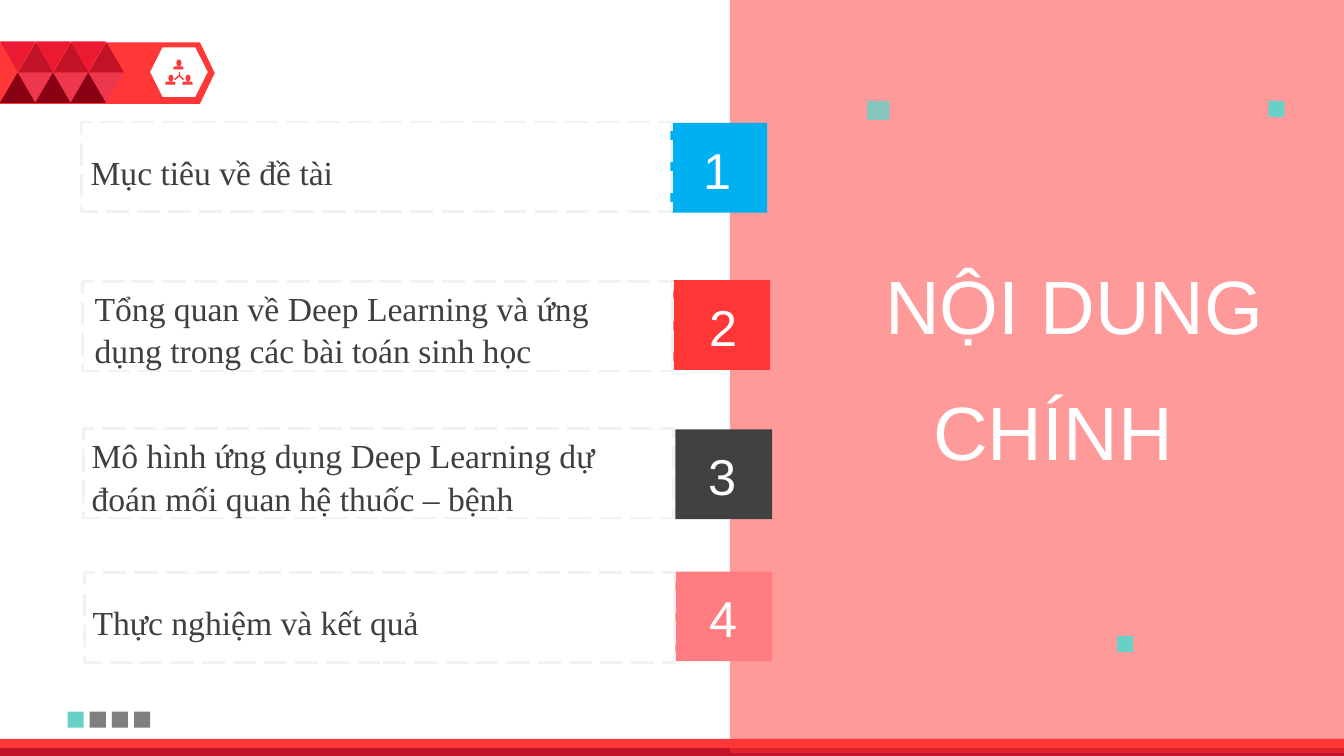
from lxml import etree
from pptx import Presentation
from pptx import util as u
from pptx.dml.color import RGBColor
from pptx.enum import dml, shapes, text
from pptx.oxml.ns import qn

WHITE = RGBColor(0xFF, 0xFF, 0xFF)
RED = RGBColor(0xFF, 0x37, 0x37)
DARK_RED = RGBColor(0xC2, 0x12, 0x27)
CRIMSON = RGBColor(0xEB, 0x19, 0x32)
ROSE = RGBColor(0xED, 0x37, 0x4D)
MAROON = RGBColor(0x88, 0x00, 0x14)
PINK = RGBColor(0xFF, 0x7C, 0x80)
BLUE = RGBColor(0x00, 0xB0, 0xF0)
CHARCOAL = RGBColor(0x41, 0x41, 0x41)
INK = RGBColor(0x3F, 0x3F, 0x3F)
TEAL = RGBColor(0x68, 0xD0, 0xC6)
GRAY = RGBColor(0x7F, 0x7F, 0x7F)
PALE = RGBColor(0xF2, 0xF2, 0xF2)

KIND = shapes.MSO_SHAPE
ALIGN = text.PP_ALIGN


class Deck:
    sans = "Arial"
    serif = "Times New Roman"
    line_spacing = 1.06

    def __init__(self):
        self.prs = Presentation()
        self.prs.slide_width = u.Inches(13.33)
        self.prs.slide_height = u.Inches(7.5)
        self.slide = self.prs.slides.add_slide(self.prs.slide_layouts[5])

    def shape(self, box, color, kind=KIND.RECTANGLE, alpha=None, turn=0, adj=None):
        item = self.slide.shapes.add_shape(kind, *map(u.Inches, box))
        item.shadow.inherit = False
        item.line.fill.background()
        item.fill.solid()
        item.fill.fore_color.rgb = color
        item.rotation = turn
        if adj is not None:
            item.adjustments[0] = adj
        if alpha is not None:
            tint = item._element.spPr.find(".//" + qn("a:srgbClr"))
            etree.SubElement(tint, qn("a:alpha")).set("val", str(alpha * 1000))
        return item

    def frame(self, box):
        item = self.shape(box, WHITE)
        item.fill.background()
        item.line.color.rgb = PALE
        item.line.width = u.Pt(2)
        item.line.dash_style = dml.MSO_LINE.LONG_DASH

    def outline(self, points, color):
        builder = self.slide.shapes.build_freeform(*points[0], scale=u.Inches(1))
        builder.add_line_segments(points[1:], close=True)
        item = builder.convert_to_shape()
        item.shadow.inherit = False
        item.fill.solid()
        item.fill.fore_color.rgb = color
        item.line.fill.background()

    def line(self, start, end, color):
        item = self.slide.shapes.add_connector(
            shapes.MSO_CONNECTOR.STRAIGHT, *map(u.Inches, (*start, *end)))
        item.line.color.rgb = color
        item.line.width = u.Pt(1)
        etree.SubElement(item._element.spPr, qn("a:effectLst"))

    def set_words(self, item, words, size, font, color, align):
        body = item.text_frame
        body.text = words
        body.word_wrap = True
        body.auto_size = text.MSO_AUTO_SIZE.NONE
        body.vertical_anchor = text.MSO_ANCHOR.TOP
        paragraph = body.paragraphs[0]
        paragraph.alignment = align
        paragraph.line_spacing = self.line_spacing
        for run in paragraph.runs:
            run.font.size = u.Pt(size)
            run.font.name = font
            run.font.color.rgb = color

    def label(self, box, words, size, font, color, align=ALIGN.LEFT):
        item = self.slide.shapes.add_textbox(*map(u.Inches, box))
        self.set_words(item, words, size, font, color, align)

    def title(self, box, words, size):
        item = self.slide.shapes.title
        item.left, item.top, item.width, item.height = map(u.Inches, box)
        self.set_words(item, words, size, self.sans, WHITE, ALIGN.RIGHT)
        self.slide.shapes._spTree.append(item._element)

    def person(self, x, y):
        self.shape((x + 0.03, y, 0.05, 0.07), RED, KIND.OVAL)
        self.shape((x, y + 0.07, 0.1, 0.03), RED, KIND.ROUND_2_SAME_RECTANGLE, adj=0.5)


def draw_banner(deck):
    deck.shape((0, 0.42, 2.13, 0.61), RED, KIND.PENTAGON, adj=0.24)
    deck.outline([(0, 0.72), (2.13, 0.72), (1.98, 1.02), (0, 1.02)], DARK_RED)
    deck.shape((1.49, 0.47, 0.57, 0.49), WHITE, KIND.HEXAGON, adj=0.25)
    for x, y in ((1.81, 0.74), (1.64, 0.74), (1.72, 0.59)):
        deck.person(x, y)
    hub = (1.78, 0.75)
    for tip in ((1.78, 0.71), (1.82, 0.79), (1.73, 0.79)):
        deck.line(hub, tip, RED)
    for column in range(3):
        x = column * 0.35
        for shift, y, color, turn in (
            (0, 0.41, CRIMSON, 180),
            (0.18, 0.42, DARK_RED, 0),
            (0.18, 0.72, ROSE, 180),
            (0, 0.72, MAROON, 0),
        ):
            deck.shape((x + shift, y, 0.35, 0.3), color, KIND.ISOSCELES_TRIANGLE, turn=turn)


def draw_panel(deck):
    deck.shape((0, 7.33, 13.33, 0.16), RED)
    deck.shape((0, 7.42, 13.33, 0.08), DARK_RED)
    deck.shape((7.24, -0.03, 6.09, 7.5), RED, alpha=50)
    deck.title((5.96, 2.46, 6.67, 1.01), "NỘI DUNG", 54)
    deck.label((5.06, 3.72, 6.67, 1.01), "CHÍNH", 54, deck.sans, WHITE, ALIGN.RIGHT)
    deck.shape((8.6, 1, 0.22, 0.19), TEAL, alpha=80)
    for x, y in ((11.08, 6.31), (12.58, 1)):
        deck.shape((x, y, 0.16, 0.16), TEAL)
    for step, color in enumerate((TEAL, GRAY, GRAY, GRAY)):
        deck.shape((0.67 + step * 0.22, 7.06, 0.16, 0.16), color)


def draw_contents(deck):
    topics = (
        ("Mục tiêu về đề tài", BLUE, (6.65, 1.22), 6.77, (0.81, 1.21), (0.8, 1.43)),
        ("Tổng quan về Deep Learning và ứng dụng trong các bài toán sinh học",
         RED, (6.68, 2.78), 6.83, (0.82, 2.79), (0.84, 2.78)),
        ("Mô hình ứng dụng Deep Learning dự đoán mối quan hệ thuốc – bệnh",
         CHARCOAL, (6.7, 4.26), 6.82, (0.83, 4.25), (0.81, 4.24)),
        ("Thực nghiệm và kết quả", PINK, (6.7, 5.67), 6.83, (0.84, 5.68), (0.82, 5.9)),
    )
    for number, (topic, color, tile, digit_x, border, topic_at) in enumerate(topics, 1):
        deck.shape((*tile, 0.96, 0.89), color)
        deck.label((digit_x, tile[1] + 0.07, 0.7, 0.71), str(number), 36,
                   deck.sans, WHITE, ALIGN.CENTER)
        deck.frame((*border, 5.85, 0.89))
        height = 0.91 if len(topic) > 30 else 0.5
        deck.label((*topic_at, 5.38, height), topic, 24, deck.serif, INK)


def main():
    deck = Deck()
    draw_banner(deck)
    draw_panel(deck)
    draw_contents(deck)
    deck.prs.save("out.pptx")


if __name__ == "__main__":
    main()
